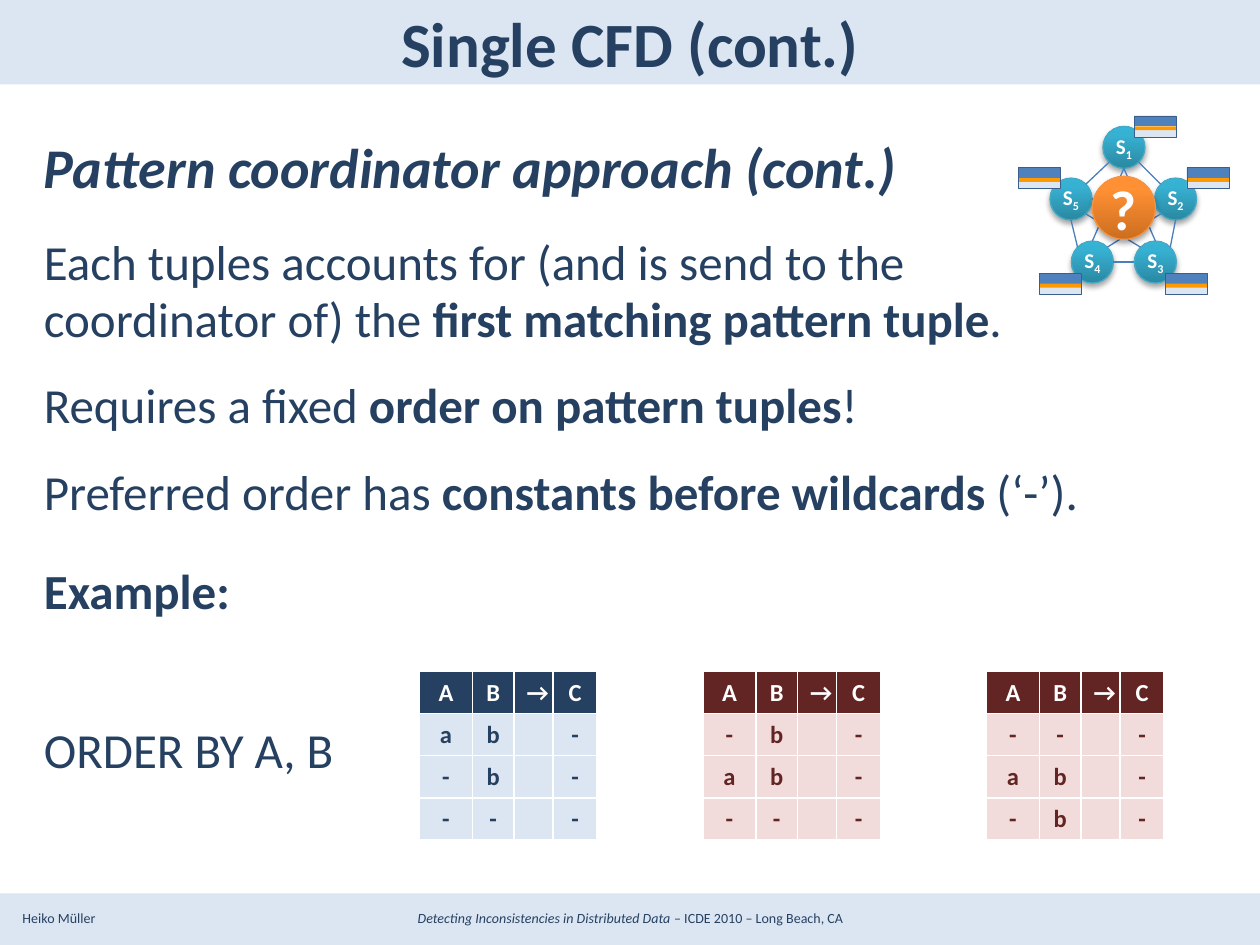
from math import cos, radians, sin
from lxml import etree
from pptx import Presentation
from pptx.dml.color import RGBColor
from pptx.enum.shapes import MSO_CONNECTOR, MSO_SHAPE
from pptx.enum.text import MSO_ANCHOR as Anchor, PP_ALIGN as Align
from pptx.oxml import parse_xml
from pptx.oxml.ns import nsdecls, qn
from pptx.util import Inches, Pt

COLORS = {
    "navy": "254061", "pale_blue": "DCE6F2", "white": "FFFFFF",
    "maroon": "632523", "pale_red": "F2DCDB", "link": "4B7EBC",
    "site_line": "46AAC5", "hub_line": "F69240",
    "flag_top": "4F81BD", "flag_stripe": "FF9900", "flag_line": "3A5F8C",
}
SITE_GRADIENT = [(0, "2A88A2"), (80, "37B1D2"), (100, "34B4D6")]
HUB_GRADIENT = [(0, "CC6E20"), (80, "FF9034"), (100, "FF9136")]

BOLD = {"bold": True}
BODY = [
    ([("Pattern coordinator approach (cont.)", {"bold": True, "italic": True})], 32, 0),
    ([("Each tuples accounts for (and is send to the\vcoordinator of) the ", {}),
      ("first matching pattern tuple", BOLD), (".", {})], 28, 20),
    ([("Requires a fixed ", {}), ("order on pattern tuples", BOLD), ("!", {})], 28, 17),
    ([("Preferred order has ", {}), ("constants before wildcards ", BOLD), ("(‘-’).", {})], 28, 17),
    ([("Example:", BOLD)], 28, 24),
    ([("ORDER BY A, B", {})], 28, 58),
]
FOOTER = [("Detecting Inconsistencies in Distributed Data ", {"italic": True}),
          ("– ICDE 2010 – Long Beach, CA", {})]

HEADER = ["A", "B", "→", "C"]
COLUMN_WIDTHS = [0.42, 0.33, 0.31, 0.35]
PATTERN_TABLES = [
    ("navy", "pale_blue", ["ab", "-b", "--"]),
    ("maroon", "pale_red", ["-b", "ab", "--"]),
    ("maroon", "pale_red", ["--", "ab", "-b"]),
]

HUB = (8.92, 1.65)
SITES = {"1": (8.92, 1.17), "5": (8.5, 1.58), "2": (9.33, 1.58),
         "4": (8.67, 2.08), "3": (9.17, 2.08)}
SITE_SIZE, HUB_SIZE = 1 / 3, 0.5
EAST, SE, SOUTH, SW, WEST, NW, NORTH, NE = range(0, 360, 45)
LINKS = [
    ("1", SE, "2", NW), ("2", SOUTH, "3", NE), ("4", EAST, "3", WEST),
    ("4", NW, "5", SOUTH), ("5", NE, "1", SW), ("5", EAST, "2", WEST),
    ("5", SE, "3", NW), ("2", SW, "4", NE), ("4", NORTH, "1", SOUTH),
    ("1", SOUTH, "3", NORTH),
]
FLAGS = [(8.08, 1.33), (9, 0.92), (9.42, 1.33), (9.25, 2.17), (8.25, 2.17)]
FLAG_WIDTH, FLAG_HEIGHT = 1 / 3, 1 / 6

prs = Presentation()
prs.slide_width, prs.slide_height = Inches(10), Inches(7.5)
slide = prs.slides.add_slide(prs.slide_layouts[6])
shapes = slide.shapes


def rgb(name):
    return RGBColor.from_string(COLORS[name])


def write(paragraph, text, size, color="navy", bold=False, italic=False,
          align=Align.LEFT, baseline=None):
    paragraph.alignment = align
    for i, part in enumerate(text.split("\v")):
        if i:
            paragraph.add_line_break()
        run = paragraph.add_run()
        run.text = part
        font = run.font
        font.name, font.size, font.bold, font.italic = "Calibri", Pt(size), bold, italic
        font.color.rgb = rgb(color)
        if baseline:
            font._element.set("baseline", str(baseline))


def text_frame(left, top, width, height, anchor=Anchor.TOP):
    frame = shapes.add_textbox(*map(Inches, (left, top, width, height))).text_frame
    frame.word_wrap = True
    frame.vertical_anchor = anchor
    return frame


def draw(kind, left, top, width, height, fill=None, line=None, weight=0.25):
    shape = shapes.add_shape(kind, *map(Inches, (left, top, width, height)))
    shape.shadow.inherit = False
    if fill:
        shape.fill.solid()
        shape.fill.fore_color.rgb = rgb(fill)
    else:
        shape.fill.background()
    if line:
        shape.line.color.rgb = rgb(line)
        shape.line.width = Pt(weight)
    else:
        shape.line.fill.background()
    return shape


def ball(center, size, gradient, line):
    x, y = center
    shape = draw(MSO_SHAPE.OVAL, x - size / 2, y - size / 2, size, size, line=line, weight=0.75)
    properties = shape._element.spPr
    stops = "".join(f'<a:gs pos="{pos * 1000}"><a:srgbClr val="{color}"/></a:gs>'
                    for pos, color in gradient)
    properties.replace(properties.find(qn("a:noFill")), parse_xml(
        f'<a:gradFill {nsdecls("a")}><a:gsLst>{stops}</a:gsLst>'
        '<a:lin ang="16200000" scaled="0"/></a:gradFill>'))
    properties.find(qn("a:effectLst")).append(parse_xml(
        f'<a:outerShdw {nsdecls("a")} blurRad="40000" dist="23000" dir="5400000" rotWithShape="0">'
        '<a:srgbClr val="000000"><a:alpha val="35000"/></a:srgbClr></a:outerShdw>'))
    frame = shape.text_frame
    frame.word_wrap = False
    frame.vertical_anchor = Anchor.MIDDLE
    frame.margin_left = frame.margin_right = frame.margin_top = frame.margin_bottom = 0
    return frame.paragraphs[0]


def rim(site, angle):
    x, y = SITES[site]
    return (Inches(x + SITE_SIZE / 2 * cos(radians(angle))),
            Inches(y + SITE_SIZE / 2 * sin(radians(angle))))


def pattern_table(left, dark, pale, patterns):
    rows = [HEADER] + [[*pattern, "", "-"] for pattern in patterns]
    table = shapes.add_table(len(rows), len(HEADER), Inches(left), Inches(5.33),
                             Inches(sum(COLUMN_WIDTHS)), Inches(1.33)).table
    for column, width in zip(table.columns, COLUMN_WIDTHS):
        column.width = Inches(width)
    for r, row in enumerate(rows):
        for c, value in enumerate(row):
            cell = table.cell(r, c)
            cell.fill.solid()
            cell.fill.fore_color.rgb = rgb(pale if r else dark)
            paragraph = cell.text_frame.paragraphs[0]
            if value:
                write(paragraph, value, 14, color=dark if r else "white",
                      bold=True, align=Align.CENTER)
            else:
                paragraph.font.size = Pt(14)


slide.background.fill.solid()
slide.background.fill.fore_color.rgb = rgb("pale_blue")

write(text_frame(0.08, 7.17, 1, 0.24).paragraphs[0], "Heiko Müller", 8)
venue = text_frame(0.17, 7.17, 9.67, 0.24).paragraphs[0]
for text, style in FOOTER:
    write(venue, text, 8, align=Align.CENTER, **style)
draw(MSO_SHAPE.RECTANGLE, 0, 0.67, 10, 6.42, fill="white")
write(text_frame(0.5, 0, 9, 0.67, Anchor.MIDDLE).paragraphs[0],
      "Single CFD (cont.)", 36, bold=True, align=Align.CENTER)

body = text_frame(0.25, 1, 9.58, 3.33)
for i, (runs, size, gap) in enumerate(BODY):
    paragraph = body.add_paragraph() if i else body.paragraphs[0]
    if i:
        paragraph.space_before = Pt(gap)
        paragraph.line_spacing = 0.97
    for text, style in runs:
        write(paragraph, text, size, **style)

for i, (dark, pale, patterns) in enumerate(PATTERN_TABLES):
    pattern_table(3.33 + 2.25 * i, dark, pale, patterns)

for number, center in SITES.items():
    label = ball(center, SITE_SIZE, SITE_GRADIENT, "site_line")
    write(label, "S", 12, color="white", bold=True, align=Align.CENTER)
    write(label, number, 12, color="white", bold=True, align=Align.CENTER, baseline=-25000)

for start, start_angle, end, end_angle in LINKS:
    link = shapes.add_connector(MSO_CONNECTOR.STRAIGHT, *rim(start, start_angle), *rim(end, end_angle))
    link.line.color.rgb = rgb("link")
    link.line.width = Pt(0.75)
    etree.SubElement(link._element.spPr, qn("a:effectLst"))

write(ball(HUB, HUB_SIZE, HUB_GRADIENT, "hub_line"), "?", 32,
      color="white", bold=True, align=Align.CENTER)

for left, top in FLAGS:
    half = FLAG_HEIGHT / 2
    for y, height, fill, line in [
        (top, half, "flag_top", "white"),
        (top + half, half, "pale_blue", "white"),
        (top + half, 0.03, "flag_stripe", None),
        (top, FLAG_HEIGHT, None, "flag_line"),
    ]:
        draw(MSO_SHAPE.RECTANGLE, left, y, FLAG_WIDTH, height, fill, line)

prs.save("out.pptx")
